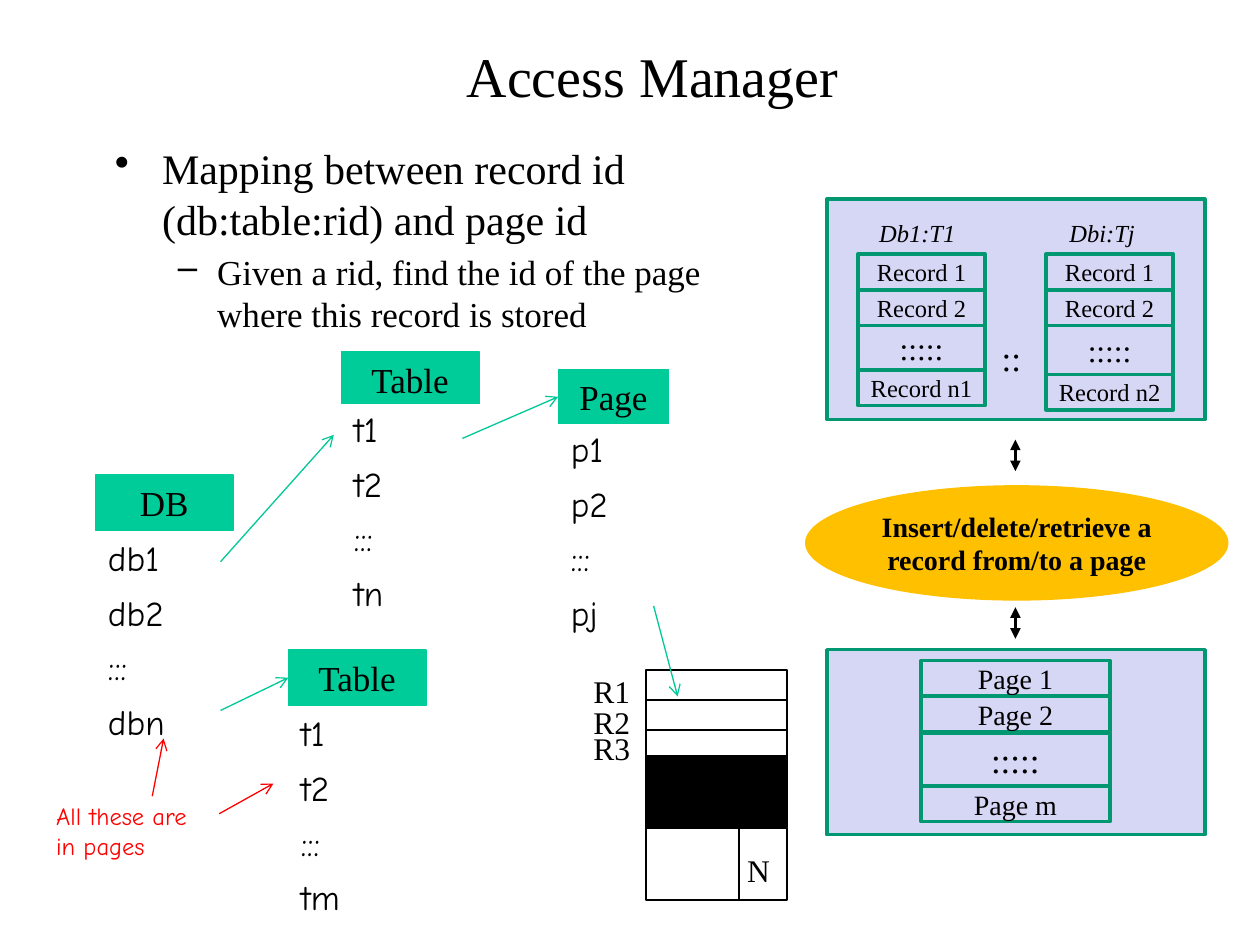
from dataclasses import dataclass

from pptx import Presentation
from pptx.dml.color import RGBColor
from pptx.enum import shapes, text as text_enum
from pptx.oxml import ns, xmlchemy
from pptx.util import Pt


@dataclass(frozen=True)
class Theme:
    serif: str = "Times New Roman"
    hand: str = "Comic Neue"
    black: str = "000000"
    white: str = "FFFFFF"
    red: str = "FF0000"
    lilac: str = "D6D6F5"
    green: str = "009771"
    mint: str = "00CC99"
    arrow: str = "00C896"
    amber: str = "FFC000"
    title: int = 32
    body: int = 24
    label: int = 20
    row: int = 18
    small: int = 16
    tiny: int = 14


theme = Theme()
rgb = RGBColor.from_string
LEFT, CENTER = text_enum.PP_ALIGN.LEFT, text_enum.PP_ALIGN.CENTER
MIDDLE, TOP = text_enum.MSO_ANCHOR.MIDDLE, text_enum.MSO_ANCHOR.TOP

presentation = Presentation()
presentation.slide_width, presentation.slide_height = Pt(720), Pt(540)
slide = presentation.slides.add_slide(presentation.slide_layouts[6])


def write(paragraph, text, size, font=theme.serif, color=theme.black,
          bold=False, italic=False, align=LEFT, bullet=None, margin=0, hanging=0):
    if bullet:
        properties = paragraph._p.get_or_add_pPr()
        properties.set("marL", str(Pt(margin)))
        properties.set("indent", str(Pt(-hanging)))
        mark = xmlchemy.OxmlElement("a:buChar")
        mark.set("char", bullet)
        properties.append(mark)
    paragraph.alignment = align
    run = paragraph.add_run()
    run.text = text
    run.font.size, run.font.name = Pt(size), font
    run.font.bold, run.font.italic = bold, italic
    run.font.color.rgb = rgb(color)


def connect(x1, y1, x2, y2, color, width=0.75, head=None, tail=None, target=None):
    connector = slide.shapes.add_connector(
        shapes.MSO_CONNECTOR.STRAIGHT, Pt(x1), Pt(y1), Pt(x2), Pt(y2))
    if target is not None:
        connector.end_connect(target, 1)
    connector.line.color.rgb, connector.line.width = rgb(color), Pt(width)
    line = connector.line._get_or_add_ln()
    for tag, kind in (("a:headEnd", head), ("a:tailEnd", tail)):
        if kind:
            end = xmlchemy.OxmlElement(tag)
            end.set("type", kind)
            line.append(end)
    connector._element.spPr.append(xmlchemy.OxmlElement("a:effectLst"))


# Title and bullets
title = slide.shapes.add_textbox(Pt(84.25), Pt(18), Pt(577.5), Pt(49.5)).text_frame
title.word_wrap, title.vertical_anchor = True, MIDDLE
write(title.paragraphs[0], "Access Manager", theme.title, align=CENTER)

body = slide.shapes.add_textbox(Pt(58.5), Pt(78), Pt(364.5), Pt(126)).text_frame
body.word_wrap = True
write(body.paragraphs[0], "Mapping between record id (db:table:rid) and page id",
      theme.body, bullet="•", margin=27, hanging=27)
detail = body.add_paragraph()
detail.level, detail.space_before = 1, Pt(4)
write(detail, "Given a rid, find the id of the page where this record is stored",
      theme.label, bullet="–", margin=58.5, hanging=22.5)

# Boxes: left, top, width, height, fill, line, line width, text, size
boxes = [
    (472.5, 371.25, 216, 105.75, theme.lilac, theme.green, 2, "", 0),
    (472.5, 113.75, 216, 126, theme.lilac, theme.green, 2, "", 0),
]
stacks = [  # left, width, text size, dots size, then (text, top, height)
    (490.25, 72.75, theme.tiny, theme.row,
     [("Record 1", 145.25, 20.25), ("Record 2", 165.75, 20.25),
      (":::::", 186, 25.5), ("Record n1", 211.5, 20.25)]),
    (597.75, 72.75, theme.tiny, theme.row,
     [("Record 1", 145.25, 20.25), ("Record 2", 165.75, 20.25),
      (":::::", 186, 28), ("Record n2", 214, 20.25)]),
    (526.25, 108, theme.small, theme.label,
     [("Page 1", 377.5, 20.25), ("Page 2", 398, 20.25),
      (":::::", 419.25, 30), ("Page m", 449.25, 20.25)]),
]
for left, width, size, dots_size, entries in stacks:
    for text, top, height in entries:
        boxes.append((left, top, width, height, None, theme.green, 2, text,
                      dots_size if text == ":::::" else size))

# Table headings
for text, left, top, width in (("DB", 54.5, 271.5, 78.75), ("Table", 195, 201, 78.75),
                               ("Page", 319, 211, 63), ("Table", 164.75, 371.5, 78.75)):
    boxes.append((left, top, width, 31.5, theme.mint, theme.mint, 0.75, text, theme.label))

# Page layout: record slots, filled area and footer
for top, height, fill in ((383, 17, None), (400, 17, None), (417, 17, None),
                          (432, 41, theme.black), (473, 41.25, None)):
    boxes.append((369.25, top, 80.5, height, fill, theme.black, 1, "", 0))

targets = {}
for left, top, width, height, fill, line, line_width, text, size in boxes:
    box = slide.shapes.add_shape(shapes.MSO_SHAPE.RECTANGLE,
                                 Pt(left), Pt(top), Pt(width), Pt(height))
    box.shadow.inherit = False
    if fill:
        box.fill.solid()
        box.fill.fore_color.rgb = rgb(fill)
    else:
        box.fill.background()
    box.line.color.rgb, box.line.width = rgb(line), Pt(line_width)
    if text:
        frame = box.text_frame
        frame.margin_left = frame.margin_right = 0
        frame.vertical_anchor = MIDDLE
        write(frame.paragraphs[0], text, size, align=CENTER)
        targets[text] = box

# Operation ellipse
ellipse = slide.shapes.add_shape(shapes.MSO_SHAPE.OVAL, Pt(460), Pt(277.25), Pt(242), Pt(66))
ellipse.shadow.inherit = False
ellipse.fill.solid()
ellipse.fill.fore_color.rgb = rgb(theme.amber)
ellipse.line.fill.background()
ellipse.text_frame.vertical_anchor = MIDDLE
write(ellipse.text_frame.paragraphs[0], "Insert/delete/retrieve a record from/to a page",
      theme.small, bold=True, align=CENTER)

# Free labels
for text, left, top, width, height, style in (
        ("Db1:T1", 495.25, 121, 60, 24.25, dict(size=theme.tiny, italic=True)),
        ("Dbi:Tj", 604, 121, 52, 24.25, dict(size=theme.tiny, italic=True)),
        ("::", 565.25, 188.75, 26.75, 31.5, dict(size=theme.label)),
        ("R1", 332, 380.25, 36, 29, dict(size=theme.row)),
        ("R2", 332, 398.25, 36, 29, dict(size=theme.row)),
        ("R3", 332, 413.25, 36, 29, dict(size=theme.row)),
        ("N", 419.75, 483, 27.5, 29, dict(size=theme.row, align=CENTER)),
        ("All these are in pages", 25, 454.25, 101, 41,
         dict(size=theme.tiny, font=theme.hand, color=theme.red))):
    frame = slide.shapes.add_textbox(Pt(left), Pt(top), Pt(width), Pt(height)).text_frame
    frame.word_wrap = " " in text
    write(frame.paragraphs[0], text, **style)

# Lookup tables
for left, top, columns, last_row, names in (
        (54.5, 305, (57.75, 21), 29.25, ("db1", "db2", ":::", "dbn")),
        (195, 231.25, (57.75, 21), 29.25, ("t1", "t2", ":::", "tn")),
        (164.75, 405.25, (57.75, 21), 29.25, ("t1", "t2", ":::", "tm")),
        (319, 242.75, (45.75, 17.25), 33, ("p1", "p2", ":::", "pj"))):
    heights = (29.25, 29.25, 29.25, last_row)
    table = slide.shapes.add_table(4, 2, Pt(left), Pt(top),
                                   Pt(sum(columns)), Pt(sum(heights))).table
    table.first_row = table.horz_banding = False
    for column, width in zip(table.columns, columns):
        column.width = Pt(width)
    for row, height, name in zip(table.rows, heights, names):
        row.height = Pt(height)
        write(row.cells[0].text_frame.paragraphs[0], name, theme.label, font=theme.hand)
        for cell in row.cells:
            properties = cell._tc.get_or_add_tcPr()
            for side in ("lnL", "lnR", "lnT", "lnB"):
                properties.append(xmlchemy.parse_xml(
                    f'<a:{side} {ns.nsdecls("a")} w="{Pt(1)}"><a:solidFill>'
                    f'<a:srgbClr val="{theme.black}"/></a:solidFill></a:{side}>')
                    if hasattr(xmlchemy, "parse_xml") else ns and xmlchemy.OxmlElement(f"a:{side}"))
            cell.fill.solid()
            cell.fill.fore_color.rgb = rgb(theme.white)

# Arrows and divider
for y in (251.25, 347):
    connect(580.25, y, 580.25, y + 18, theme.black, 2, "triangle", "triangle")
connect(422.5, 473, 422.5, 514.25, theme.black, 1)
connect(264.25, 250.5, 319, 226.75, theme.arrow, tail="arrow", target=targets["Page"])
connect(126, 406, 164.75, 387.25, theme.arrow, tail="arrow", target=targets["Table"])
connect(373.5, 346.25, 387.25, 398, theme.arrow, tail="arrow")
connect(126, 321, 190.75, 248.5, theme.arrow, tail="arrow")
connect(87, 455, 93.5, 422, theme.red, tail="arrow")
connect(125.25, 465, 156.25, 447.75, theme.red, tail="arrow")

presentation.save("out.pptx")
